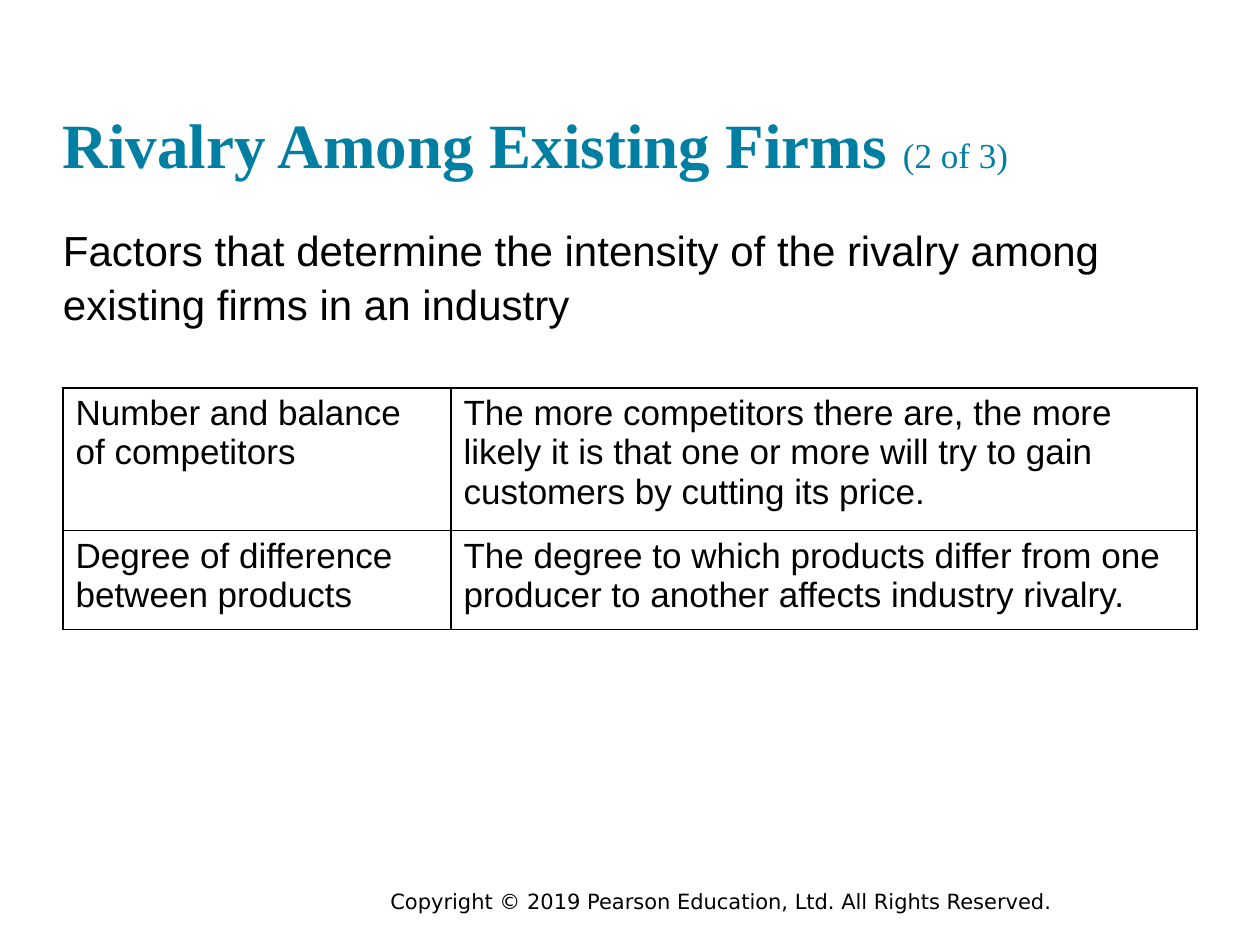
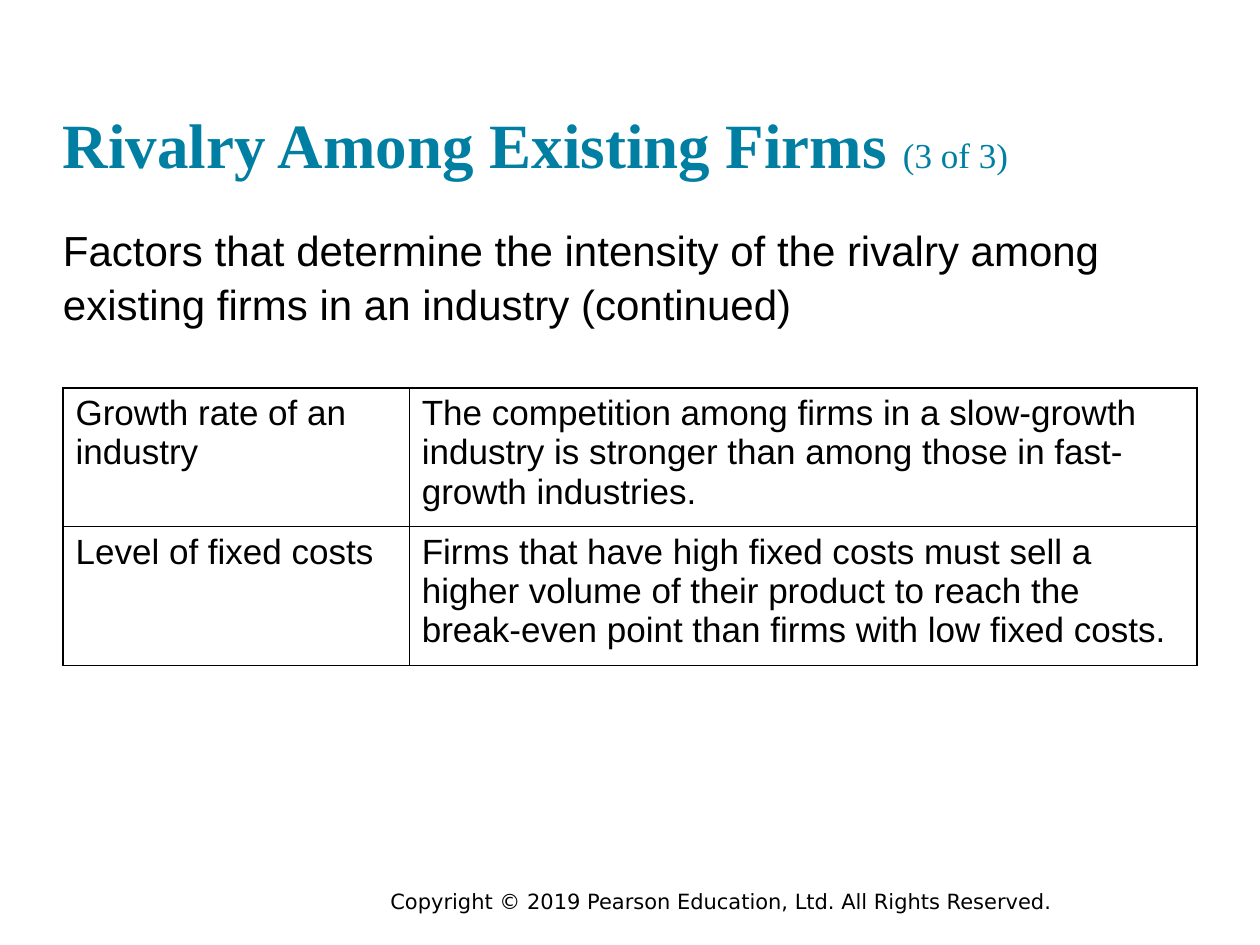
import pptx
import pptx.dml.color
import pptx.enum.text
import pptx.oxml
import pptx.oxml.ns
import pptx.util

Cm = pptx.util.Cm
Pt = pptx.util.Pt
TEAL = pptx.dml.color.RGBColor(0x00, 0x7F, 0xA3)
BLACK = pptx.dml.color.RGBColor(0x00, 0x00, 0x00)
WHITE = pptx.dml.color.RGBColor(0xFF, 0xFF, 0xFF)

# Boxes are left, top, width, height in centimetres
MARGIN, CONTENT_WIDTH = 1.27, 22.86
TITLE_BOX = (MARGIN, 0.61, CONTENT_WIDTH, 3.05)
LEAD_BOX = (MARGIN, 4.45, CONTENT_WIDTH, 2.2)
TABLE_BOX = (MARGIN, 7.82, CONTENT_WIDTH)
FOOTER_BOX = (7.62, 17.78, 16.94, 0.76)

TITLE_FORMAT = {"name": "Times New Roman", "size": Pt(36), "bold": True, "color": TEAL}
COUNT_FORMAT = {**TITLE_FORMAT, "size": Pt(20), "bold": False}
LEAD_FORMAT = {"name": "Arial", "size": Pt(24), "color": BLACK}
CELL_FORMAT = {**LEAD_FORMAT, "size": Pt(20)}
FOOTER_FORMAT = {"name": "DejaVu Sans", "size": Pt(12), "color": BLACK}

TITLE = "Rivalry Among Existing Firms "
LEAD = "Factors that determine the intensity of the rivalry among existing firms in an industry"
COPYRIGHT = "Copyright © 2019 Pearson Education, Ltd. All Rights Reserved."

SLIDES = [
    {
        "count": "(2 of 3)",
        "lead": LEAD,
        "first_column": 7.82,
        "row_heights": (2.87, 2.0),
        "factors": [
            ("Number and balance of competitors",
             "The more competitors there are, the more likely it is that one or more "
             "will try to gain customers by cutting its price."),
            ("Degree of difference between products",
             "The degree to which products differ from one producer to another "
             "affects industry rivalry."),
        ],
    },
    {
        "count": "(3 of 3)",
        "lead": LEAD + " (continued)",
        "first_column": 6.98,
        "row_heights": (2.62, 2.62),
        "factors": [
            ("Growth rate of an industry",
             "The competition among firms in a slow-growth industry is stronger "
             "than among those in fast-growth industries."),
            ("Level of fixed costs",
             "Firms that have high fixed costs must sell a higher volume of their product "
             "to reach the break-even point than firms with low fixed costs."),
        ],
    },
]


def add_run(paragraph, text, text_format):
    run = paragraph.add_run()
    run.text = text
    for attribute, value in text_format.items():
        if attribute == "color":
            run.font.color.rgb = value
        else:
            setattr(run.font, attribute, value)


def add_text(slide, box, runs, **frame_format):
    shape = slide.shapes.add_textbox(*(Cm(length) for length in box))
    frame = shape.text_frame
    for attribute, value in {"word_wrap": True, **frame_format}.items():
        setattr(frame, attribute, value)
    paragraph = frame.paragraphs[0]
    for text, text_format in runs:
        add_run(paragraph, text, text_format)
    return paragraph


def set_borders(cell):
    properties = cell._tc.get_or_add_tcPr()
    for position, side in enumerate(("lnL", "lnR", "lnT", "lnB")):
        border = pptx.oxml.parse_xml(
            f'<a:{side} {pptx.oxml.ns.nsdecls("a")} w="{Pt(1)}">'
            f'<a:solidFill><a:srgbClr val="{BLACK}"/></a:solidFill></a:{side}>')
        properties.insert(position, border)


def add_factor_table(slide, box, content):
    left, top, width = box
    heights = content["row_heights"]
    first_column = content["first_column"]
    shape = slide.shapes.add_table(
        len(heights), 2, Cm(left), Cm(top), Cm(width), Cm(sum(heights)))
    table = shape.table
    for column, column_width in zip(table.columns, (first_column, width - first_column)):
        column.width = Cm(column_width)
    for row, height, texts in zip(table.rows, heights, content["factors"]):
        row.height = Cm(height)
        for cell, text in zip(row.cells, texts):
            cell.fill.solid()
            cell.fill.fore_color.rgb = WHITE
            set_borders(cell)
            add_run(cell.text_frame.paragraphs[0], text, CELL_FORMAT)


def add_factor_slide(presentation, content):
    slide = presentation.slides.add_slide(presentation.slide_layouts[6])
    no_margins = dict.fromkeys(
        ("margin_left", "margin_top", "margin_right", "margin_bottom"), 0)

    # Footer
    add_text(slide, FOOTER_BOX, [(COPYRIGHT, FOOTER_FORMAT)],
             auto_size=pptx.enum.text.MSO_AUTO_SIZE.SHAPE_TO_FIT_TEXT)
    # Title with its part count
    add_text(slide, TITLE_BOX, [(TITLE, TITLE_FORMAT), (content["count"], COUNT_FORMAT)],
             vertical_anchor=pptx.enum.text.MSO_ANCHOR.BOTTOM, **no_margins)
    # Lead sentence
    lead = add_text(slide, LEAD_BOX, [(content["lead"], LEAD_FORMAT)], **no_margins)
    lead.line_spacing = 1.07
    # Factors and their effects
    add_factor_table(slide, TABLE_BOX, content)


def main():
    presentation = pptx.Presentation()
    presentation.slide_width = Cm(25.4)
    presentation.slide_height = Cm(19.05)
    for content in SLIDES:
        add_factor_slide(presentation, content)
    presentation.save("out.pptx")


if __name__ == "__main__":
    main()
